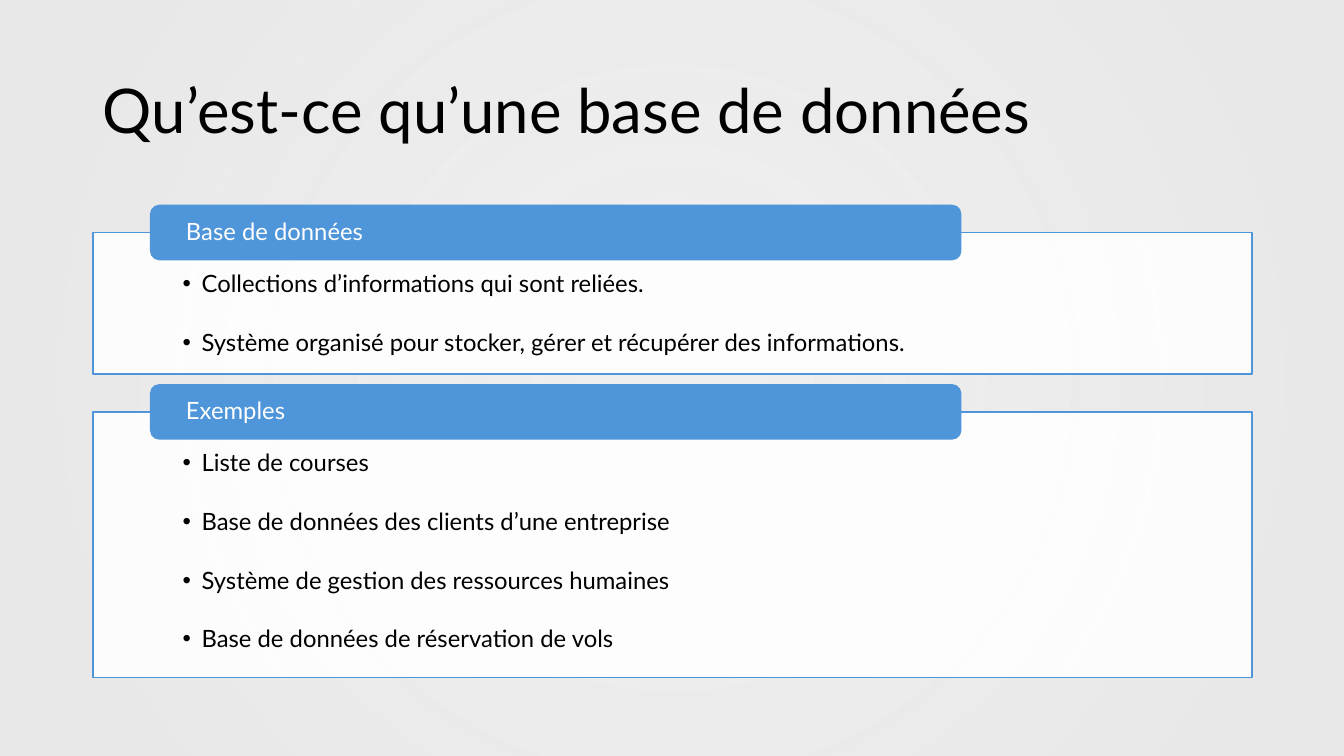
from pptx import Presentation
from pptx.dml.color import RGBColor
from pptx.enum.shapes import MSO_SHAPE as Shape
from pptx.enum.text import MSO_ANCHOR as Anchor, MSO_AUTO_SIZE as AutoSize, PP_ALIGN as Align
from pptx.oxml import parse_xml
from pptx.oxml.ns import nsdecls, qn
from pptx.oxml.xmlchemy import OxmlElement
from pptx.util import Cm, Pt

FONT = "Lato"
BLUE, WHITE, BLACK, GREY = "4E95D9", "FFFFFF", "000000", "E8E8E8"
LEFT, WIDTH = 2.34, 29.21
HEADER_HEIGHT = 1.4

# Heading, top and height of the panel in cm, list items
SECTIONS = [
    ("Base de données", 5.86, 3.57, [
        "Collections d’informations qui sont reliées.",
        "Système organisé pour stocker, gérer et récupérer des informations.",
    ]),
    ("Exemples", 10.38, 6.7, [
        "Liste de courses",
        "Base de données des clients d’une entreprise",
        "Système de gestion des ressources humaines",
        "Base de données de réservation de vols",
    ]),
]


def color(hex_code):
    return RGBColor.from_string(hex_code)


def place(shape, left, top, width, height):
    shape.left, shape.top = Cm(left), Cm(top)
    shape.width, shape.height = Cm(width), Cm(height)


def set_margins(frame, side, top, bottom):
    frame.margin_left = frame.margin_right = Cm(side)
    frame.margin_top, frame.margin_bottom = Cm(top), Cm(bottom)


def format_paragraph(paragraph, size, hex_code):
    paragraph.alignment = Align.LEFT
    paragraph.line_spacing = 0.9
    paragraph.space_before = Pt(0)
    paragraph.font.name = FONT
    paragraph.font.size = Pt(size)
    paragraph.font.color.rgb = color(hex_code)


def add_backdrop(slide, width, height):
    backdrop = slide.shapes.add_shape(Shape.RECTANGLE, 0, 0, width, height)
    backdrop.shadow.inherit = False
    backdrop.line.fill.background()
    backdrop.fill.background()
    stops = "".join(
        f'<a:gs pos="{position}000"><a:srgbClr val="{GREY}">'
        f'<a:alpha val="{opacity}000"/></a:srgbClr></a:gs>'
        for position, opacity in [(10, 68), (85, 97)])
    gradient = parse_xml(
        f'<a:gradFill {nsdecls("a")}><a:gsLst>{stops}</a:gsLst><a:path path="circle">'
        '<a:fillToRect l="50000" t="50000" r="50000" b="50000"/></a:path></a:gradFill>')
    properties = backdrop._element.spPr
    properties.replace(properties.find(qn("a:noFill")), gradient)
    # Behind the placeholders
    slide.shapes._spTree.insert(2, backdrop._element)


def fill_title(title, text):
    place(title, LEFT, 1.02, WIDTH, 3.68)
    frame = title.text_frame
    frame.text = text
    frame.auto_size = AutoSize.NONE
    frame.vertical_anchor = Anchor.MIDDLE
    format_paragraph(frame.paragraphs[0], 44, BLACK)


def fill_panel(panel, top, height, items):
    place(panel, LEFT, top, WIDTH, height)
    panel.fill.solid()
    panel.fill.fore_color.rgb = color(WHITE)
    alpha = OxmlElement("a:alpha")
    alpha.set("val", "90000")
    panel._element.spPr.find(qn("a:solidFill"))[0].append(alpha)
    panel.line.color.rgb = color(BLUE)
    panel.line.width = Pt(1)

    frame = panel.text_frame
    frame.text = "\n".join(items)
    frame.auto_size = AutoSize.NONE
    frame.vertical_anchor = Anchor.TOP
    set_margins(frame, 2.26, 0.99, 0.33)
    for item in frame.paragraphs:
        format_paragraph(item, 17, BLACK)
        item.space_after = Pt(23.5)
        indent = item._p.get_or_add_pPr()
        indent.set("marL", str(Cm(0.48)))
        indent.set("indent", str(-Cm(0.48)))


def add_header(slide, text, panel_top):
    header = slide.shapes.add_shape(
        Shape.ROUNDED_RECTANGLE, Cm(3.78), Cm(panel_top - HEADER_HEIGHT / 2),
        Cm(20.45), Cm(HEADER_HEIGHT))
    header.shadow.inherit = False
    header.fill.solid()
    header.fill.fore_color.rgb = color(BLUE)
    header.line.fill.background()
    frame = header.text_frame
    frame.text = text
    frame.vertical_anchor = Anchor.MIDDLE
    set_margins(frame, 0.84, 0.08, 0.08)
    format_paragraph(frame.paragraphs[0], 17, WHITE)


def main():
    deck = Presentation()
    deck.slide_width, deck.slide_height = Cm(33.87), Cm(19.05)
    # Layout with a title and two lists
    slide = deck.slides.add_slide(deck.slide_layouts[3])
    add_backdrop(slide, deck.slide_width, deck.slide_height)
    title, *panels = slide.placeholders
    fill_title(title, "Qu’est-ce qu’une base de données")

    # Panels with overlapping headers
    for panel, (heading, top, height, items) in zip(panels, SECTIONS):
        fill_panel(panel, top, height, items)
        add_header(slide, heading, top)

    deck.save("out.pptx")


if __name__ == "__main__":
    main()
